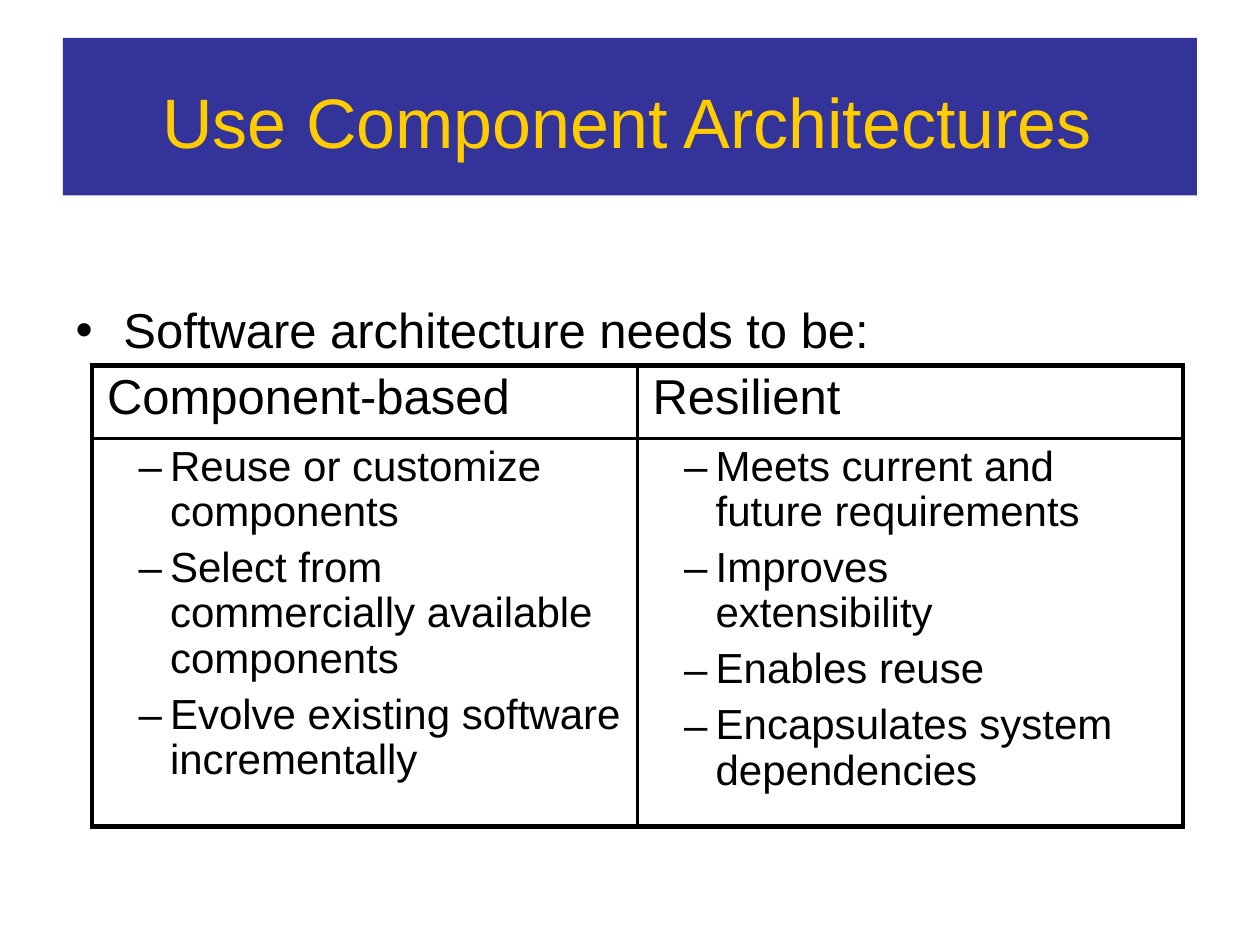
from dataclasses import dataclass

from lxml.etree import SubElement
from pptx import Presentation
from pptx.dml.color import RGBColor
from pptx.enum.shapes import MSO_SHAPE
from pptx.enum.text import MSO_ANCHOR, PP_ALIGN
from pptx.oxml.ns import qn
from pptx.util import Inches, Pt


@dataclass(frozen=True)
class Theme:
    font: str = "Arial"
    banner: str = "333399"
    title: str = "FFCC00"
    ink: str = "000000"
    title_size: int = 40
    heading_size: int = 28
    item_size: int = 24
    outer_line: float = 3
    inner_line: float = 1.5


THEME = Theme()

# Each column: heading, then its items (\v is a line break)
COLUMNS = [
    ("Component-based", [
        "Reuse or customize\vcomponents",
        "Select from\vcommercially available\vcomponents",
        "Evolve existing software\vincrementally",
    ]),
    ("Resilient", [
        "Meets current and\vfuture requirements",
        "Improves\vextensibility",
        "Enables reuse",
        "Encapsulates system\vdependencies",
    ]),
]


def style(para, size, color=THEME.ink):
    para.alignment = PP_ALIGN.LEFT
    for span in para.runs:
        span.font.name = THEME.font
        span.font.size = Pt(size)
        span.font.color.rgb = RGBColor.from_string(color)


def add_bullet(para, mark, left, hanging):
    properties = para._p.get_or_add_pPr()
    properties.set("marL", str(Inches(left)))
    properties.set("indent", str(-Inches(hanging)))
    SubElement(properties, qn("a:buFont")).set("typeface", THEME.font)
    SubElement(properties, qn("a:buChar")).set("char", mark)


def set_margins(holder, left=0, top=0):
    holder.margin_left, holder.margin_top = Inches(left), Inches(top)
    holder.margin_right = holder.margin_bottom = 0


def add_title(page, text):
    banner = page.shapes.add_shape(
        MSO_SHAPE.RECTANGLE, Inches(0.5), Inches(0.3), Inches(9), Inches(1.25))
    banner.shadow.inherit = False
    banner.fill.solid()
    banner.fill.fore_color.rgb = RGBColor.from_string(THEME.banner)
    banner.line.fill.background()
    frame = banner.text_frame
    set_margins(frame, left=0.79, top=0.06)
    frame.vertical_anchor = MSO_ANCHOR.MIDDLE
    frame.text = text
    style(frame.paragraphs[0], THEME.title_size, THEME.title)


def add_lead(page, text):
    box = page.shapes.add_textbox(
        Inches(0.59), Inches(2.35), Inches(6.34), Inches(0.49))
    frame = box.text_frame
    frame.word_wrap = True
    set_margins(frame, top=0.03)
    frame.text = text
    para = frame.paragraphs[0]
    add_bullet(para, "•", 0.39, 0.38)
    style(para, THEME.heading_size)


def set_borders(cell, widths):
    properties = cell._tc.get_or_add_tcPr()
    for index, (side, width) in enumerate(widths.items()):
        line = properties.makeelement(qn(f"a:ln{side}"), {"w": str(Pt(width))})
        fill = SubElement(line, qn("a:solidFill"))
        SubElement(fill, qn("a:srgbClr")).set("val", THEME.ink)
        properties.insert(index, line)


def fill_heading(cell, text):
    set_margins(cell, left=0.12, top=0.04)
    cell.text_frame.text = text
    style(cell.text_frame.paragraphs[0], THEME.heading_size)


def fill_items(cell, items):
    set_margins(cell, top=0.05)
    frame = cell.text_frame
    for index, item in enumerate(items):
        para = frame.add_paragraph() if index else frame.paragraphs[0]
        para.text = item
        para.line_spacing = 0.97
        if index:
            para.space_before = Pt(6)
        add_bullet(para, "–", 0.62, 0.25)
        style(para, THEME.item_size)


def add_comparison(page, columns):
    heights = [0.58, 3.08]
    width = 4.33
    last_row, last_column = len(heights) - 1, len(columns) - 1
    table = page.shapes.add_table(
        len(heights), len(columns), Inches(0.73), Inches(2.9),
        Inches(width * len(columns)), Inches(sum(heights))).table
    table.first_row = table.horz_banding = False
    for row, height in zip(table.rows, heights):
        row.height = Inches(height)

    for column, (heading, items) in enumerate(columns):
        table.columns[column].width = Inches(width)
        fill_heading(table.cell(0, column), heading)
        fill_items(table.cell(1, column), items)

        # Thick frame outside, thin rules inside
        for row in range(len(heights)):
            cell = table.cell(row, column)
            cell.fill.background()
            edges = {"L": column == 0, "R": column == last_column,
                     "T": row == 0, "B": row == last_row}
            set_borders(cell, {
                side: THEME.outer_line if outer else THEME.inner_line
                for side, outer in edges.items()})


def main():
    deck = Presentation()
    deck.slide_width, deck.slide_height = Inches(10), Inches(7.5)
    page = deck.slides.add_slide(deck.slide_layouts[6])
    add_title(page, "Use Component Architectures")
    add_lead(page, "Software architecture needs to be:")
    add_comparison(page, COLUMNS)
    deck.save("out.pptx")


if __name__ == "__main__":
    main()
